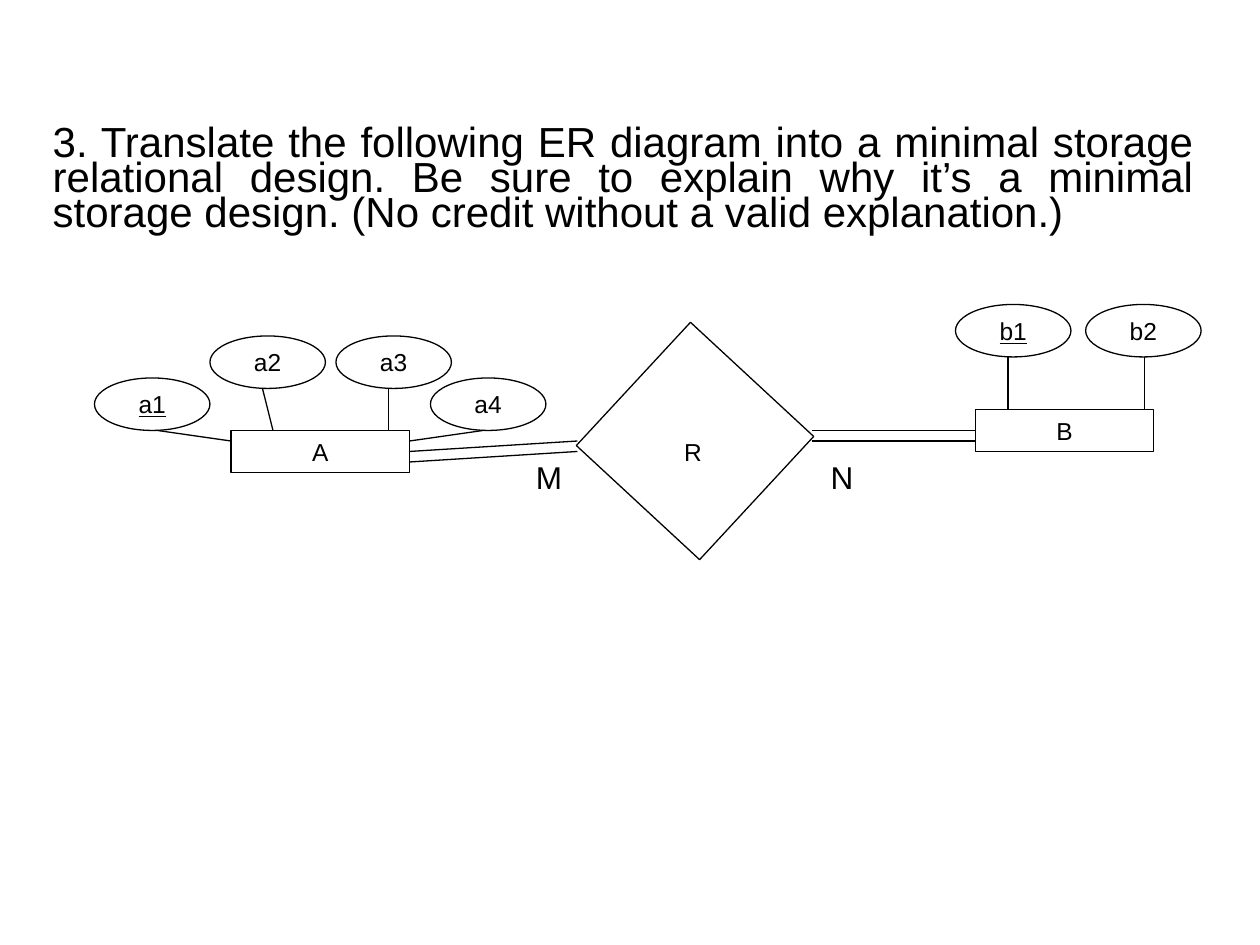
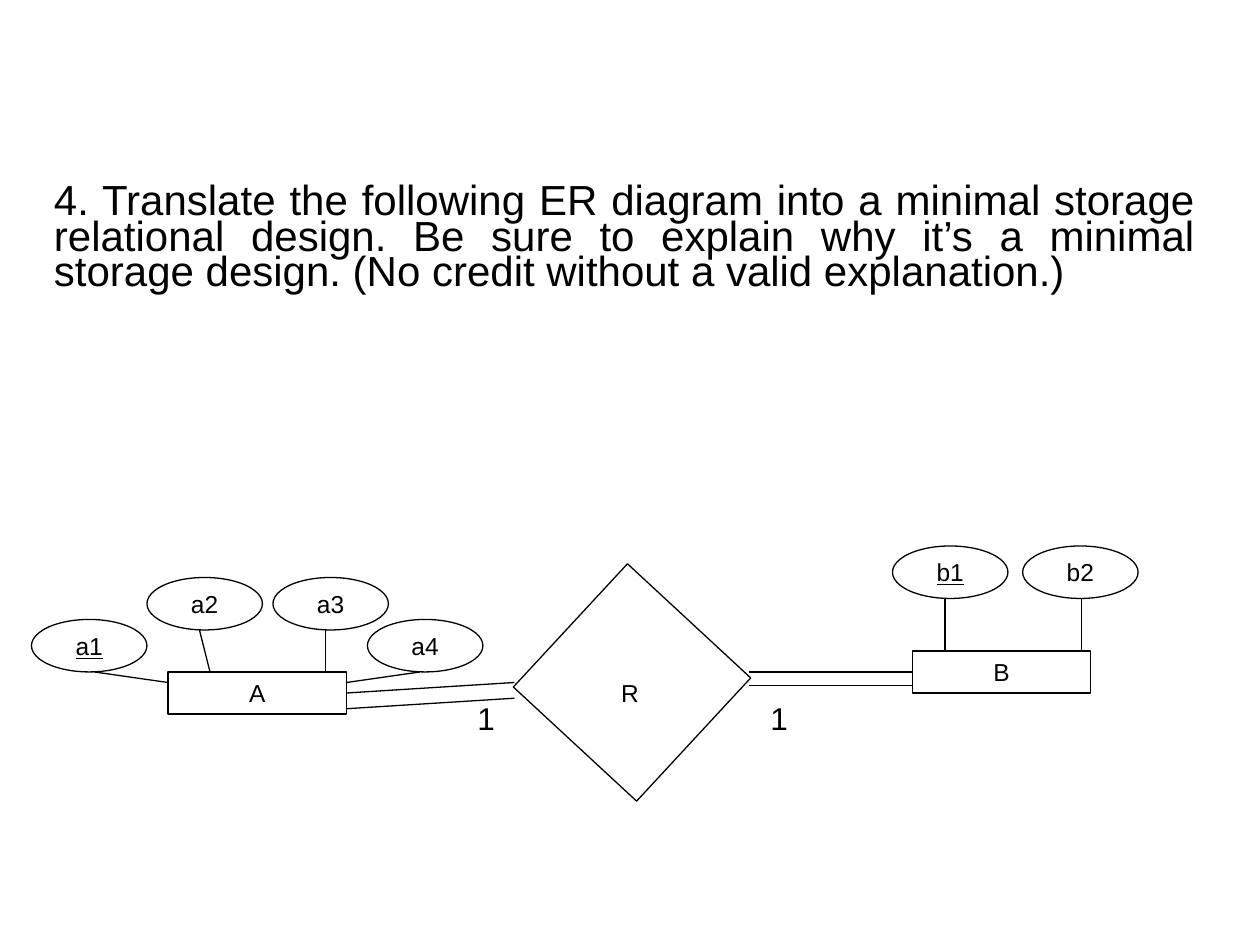
from dataclasses import dataclass

from lxml import etree
from pptx import Presentation
from pptx import util as u
from pptx.dml.color import RGBColor
from pptx.enum import shapes, text
from pptx.oxml.ns import qn

COLORS = {"ink": "000000", "paper": "FFFFFF"}
FONT = "Arial"
CELL = u.Inches(1) / 12  # the diagrams sit on a grid of twelfths of an inch
HEADING_WIDTH, HEADING_HEIGHT = 0.925, 0.15  # shares of the slide
TASK = ("Translate the following ER diagram into a minimal storage relational "
        "design. Be sure to explain why it’s a minimal storage design. "
        "(No credit without a valid explanation.)")


@dataclass(frozen=True)
class Node:
    """An entity or attribute, in grid cells from the diagram's corner."""
    name: str
    col: float
    row: float
    key: bool = False


@dataclass(frozen=True)
class Link:
    """A straight line between two grid points."""
    start: tuple[float, float]
    end: tuple[float, float]


@dataclass(frozen=True)
class Question:
    number: int
    heading_left: float  # share of the slide's width
    heading_top: float   # share of the slide's height
    col: int             # corner of the diagram, in cells
    row: int
    left_count: str
    right_count: str
    left_gap: float      # distance between the double lines, in cells
    right_gap: float


ENTITY_SIZE = (17, 4)
ATTRIBUTE_SIZE = (11, 5)
ENTITY_A = Node("A", 13, 12)
ENTITY_B = Node("B", 83.9, 10)
ATTRIBUTES = (
    Node("a1", 0, 7, key=True), Node("a2", 11, 3), Node("a3", 23, 3),
    Node("a4", 32, 7), Node("b1", 82, 0, key=True), Node("b2", 94.4, 0),
)
ATTRIBUTE_LINKS = (
    Link((6, 12), (13, 13)), Link((16, 8), (17, 12)), Link((28, 8), (28, 12)),
    Link((37, 12), (30, 13)), Link((87, 5), (87, 10)), Link((100, 5), (100, 10)),
)
LEFT_LINK = Link((46, 13), (30, 14))
RIGHT_LINK = Link((68.3, 12), (83.9, 12))
RELATION = Node("R", 49.2, 5)
RELATION_SIDE, RELATION_TURN = 16, 42.8

QUESTIONS = (
    Question(3, 0.032, 0.13, 9, 29, "M", "N", 1, 1),
    Question(4, 0.033, 0.192, 3, 52, "1", "1", 1.5, 1.3),
)


def color(name: str) -> RGBColor:
    return RGBColor.from_string(COLORS[name])


def add_run(paragraph, words: str, size: float, underline: bool = False) -> None:
    run = paragraph.add_run()
    run.text = words
    run.font.name, run.font.size = FONT, u.Pt(size)
    run.font.color.rgb = color("ink")
    if underline:
        run.font.underline = True


def add_heading(slide, question: Question, width: int, height: int) -> None:
    box = slide.shapes.add_textbox(
        round(question.heading_left * width), round(question.heading_top * height),
        round(HEADING_WIDTH * width), round(HEADING_HEIGHT * height))
    box.text_frame.word_wrap = True
    paragraph = box.text_frame.paragraphs[0]
    paragraph.alignment = text.PP_ALIGN.JUSTIFY
    paragraph.line_spacing = 0.7
    paragraph.space_before = u.Pt(6)
    add_run(paragraph, f"{question.number}. {TASK}", 24)


class Diagram:
    """Draws on a slide in grid cells counted from the diagram's corner."""

    def __init__(self, slide, col: int, row: int) -> None:
        self.shapes, self.col, self.row = slide.shapes, col, row

    def at(self, col: float, row: float) -> tuple[int, int]:
        return round((self.col + col) * CELL), round((self.row + row) * CELL)

    def outline(self, kind, node: Node, size: tuple[float, float]):
        shape = self.shapes.add_shape(
            kind, *self.at(node.col, node.row), *(round(side * CELL) for side in size))
        shape.shadow.inherit = False
        shape.fill.solid()
        shape.fill.fore_color.rgb = color("paper")
        shape.line.color.rgb = color("ink")
        shape.line.width = u.Pt(0.75)
        return shape

    def named(self, kind, node: Node, size: tuple[float, float]):
        shape = self.outline(kind, node, size)
        self.centre_text(shape, node.name, 14, node.key)
        return shape

    def centre_text(self, shape, words: str, size: float,
                    underline: bool = False) -> None:
        frame = shape.text_frame
        frame.margin_left = frame.margin_right = 0
        frame.margin_top = frame.margin_bottom = 0
        frame.word_wrap = True
        frame.vertical_anchor = text.MSO_ANCHOR.MIDDLE
        frame.paragraphs[0].alignment = text.PP_ALIGN.CENTER
        add_run(frame.paragraphs[0], words, size, underline)

    def label(self, words: str, col: float, row: float, size: float) -> None:
        """A label centred on a grid point."""
        width, height = 5, 4
        box = self.shapes.add_textbox(
            *self.at(col - width / 2, row - height / 2),
            round(width * CELL), round(height * CELL))
        self.centre_text(box, words, size)

    def link(self, link: Link, drop: float = 0):
        (col1, row1), (col2, row2) = link.start, link.end
        line = self.shapes.add_connector(
            shapes.MSO_CONNECTOR.STRAIGHT,
            *self.at(col1, row1 + drop), *self.at(col2, row2 + drop))
        line.line.color.rgb = color("ink")
        line.line.width = u.Pt(0.75)
        etree.SubElement(line._element.spPr, qn("a:effectLst"))
        return line

    def double_link(self, link: Link, gap: float, entity, side: int) -> None:
        self.link(link).end_connect(entity, side)
        self.link(link, gap)


def add_question(prs, question: Question) -> None:
    slide = prs.slides.add_slide(prs.slide_layouts[6])
    add_heading(slide, question, prs.slide_width, prs.slide_height)
    diagram = Diagram(slide, question.col, question.row)
    kinds = shapes.MSO_SHAPE

    # Entities and their attributes
    entity_a, entity_b = (diagram.named(kinds.RECTANGLE, entity, ENTITY_SIZE)
                          for entity in (ENTITY_A, ENTITY_B))
    for attribute in ATTRIBUTES:
        diagram.named(kinds.OVAL, attribute, ATTRIBUTE_SIZE)
    for link in ATTRIBUTE_LINKS:
        diagram.link(link)

    # Relationship, with an upright name on the turned square
    relation = diagram.outline(kinds.RECTANGLE, RELATION, (RELATION_SIDE,) * 2)
    relation.rotation = RELATION_TURN
    diagram.label(RELATION.name, 57, 14, 14)

    # Total participation and cardinalities
    diagram.double_link(LEFT_LINK, question.left_gap, entity_a, 3)
    diagram.double_link(RIGHT_LINK, question.right_gap, entity_b, 1)
    diagram.label(question.left_count, 43.3, 16.4, 18)
    diagram.label(question.right_count, 71.2, 16.4, 18)


def main() -> None:
    prs = Presentation()
    prs.slide_width, prs.slide_height = u.Inches(10), u.Inches(7.5)
    for question in QUESTIONS:
        add_question(prs, question)
    prs.save("out.pptx")


if __name__ == "__main__":
    main()
